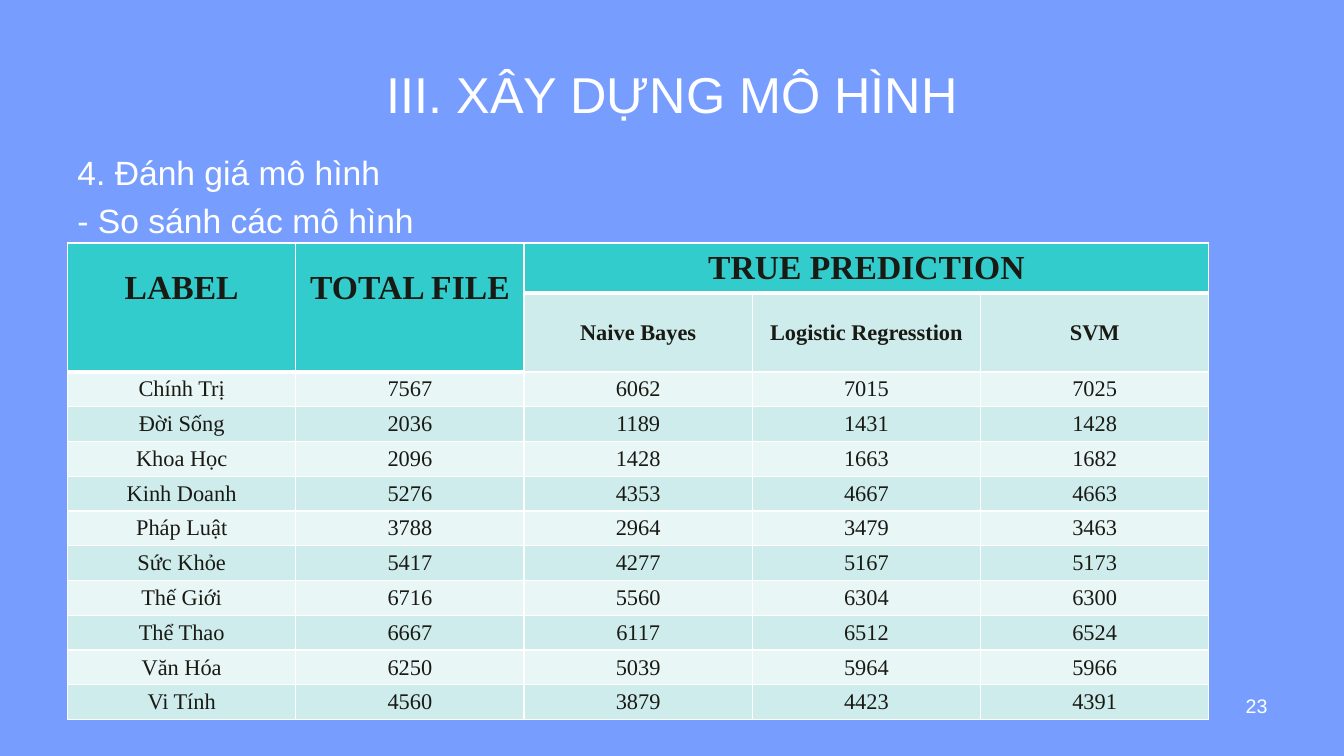
from dataclasses import dataclass

from lxml.etree import SubElement
from pptx import Presentation
from pptx.dml.color import RGBColor
from pptx.enum.text import MSO_ANCHOR, PP_ALIGN
from pptx.oxml.ns import qn
from pptx.slide import Slide
from pptx.table import Table, _Cell
from pptx.text.text import TextFrame
from pptx.util import Inches, Pt

COLORS = {
    "background": "779EFF",
    "white": "FFFFFF",
    "ink": "1A1A14",
    "header": "33CCCC",
    "light": "E8F6F6",
    "tint": "CEECEC",
}


@dataclass
class Style:
    size: int
    font: str = "Arial"
    color: str = "white"
    bold: bool = False
    align: PP_ALIGN = PP_ALIGN.LEFT
    before: int = 0


@dataclass
class TextBlock:
    left: float
    top: float
    width: float
    height: float
    lines: list[str]
    style: Style


@dataclass
class Heading:
    row: int
    column: int
    text: str
    last_row: int
    last_column: int


def serif(size: int, bold: bool) -> Style:
    return Style(size, "Times New Roman", "ink", bold, PP_ALIGN.CENTER)


TITLE = TextBlock(0.67, 0.3, 12, 1.25, ["III. XÂY DỰNG MÔ HÌNH"],
                  Style(36, align=PP_ALIGN.CENTER))
TEXT_BLOCKS = [
    TextBlock(0.67, 1.46, 11.31, 0.95,
              ["4. Đánh giá mô hình", "- So sánh các mô hình"], Style(24, before=5)),
    TextBlock(9.56, 6.83, 3.11, 0.52, ["23"], Style(14, align=PP_ALIGN.RIGHT)),
]
HEADINGS = [
    Heading(0, 0, "LABEL", 1, 0),
    Heading(0, 1, "TOTAL FILE", 1, 1),
    Heading(0, 2, "TRUE PREDICTION", 0, 4),
]
MODELS = ["Naive Bayes", "Logistic Regresstion", "SVM"]
RESULTS = [
    ("Chính Trị", 7567, 6062, 7015, 7025),
    ("Đời Sống", 2036, 1189, 1431, 1428),
    ("Khoa Học", 2096, 1428, 1663, 1682),
    ("Kinh Doanh", 5276, 4353, 4667, 4663),
    ("Pháp Luật", 3788, 2964, 3479, 3463),
    ("Sức Khỏe", 5417, 4277, 5167, 5173),
    ("Thế Giới", 6716, 5560, 6304, 6300),
    ("Thể Thao", 6667, 6117, 6512, 6524),
    ("Văn Hóa", 6250, 5039, 5964, 5966),
    ("Vi Tính", 4560, 3879, 4423, 4391),
]
TABLE_WIDTH, TABLE_HEIGHT = 11.32, 4.68
HEADER_HEIGHTS = [0.5, 0.73]


def write_lines(frame: TextFrame, lines: list[str], style: Style) -> None:
    for index, line in enumerate(lines):
        para = frame.add_paragraph() if index else frame.paragraphs[0]
        para.alignment = style.align
        para.space_before = Pt(style.before)
        span = para.add_run()
        span.text = line
        span.font.name = style.font
        span.font.size = Pt(style.size)
        span.font.bold = style.bold
        span.font.color.rgb = RGBColor.from_string(COLORS[style.color])


def add_text(page: Slide, block: TextBlock) -> None:
    box = page.shapes.add_textbox(Inches(block.left), Inches(block.top),
                                  Inches(block.width), Inches(block.height))
    box.text_frame.word_wrap = True
    write_lines(box.text_frame, block.lines, block.style)


def add_title(page: Slide, block: TextBlock) -> None:
    title = page.shapes.title
    title.left, title.top = Inches(block.left), Inches(block.top)
    title.width, title.height = Inches(block.width), Inches(block.height)
    title.text_frame.vertical_anchor = MSO_ANCHOR.MIDDLE
    write_lines(title.text_frame, block.lines, block.style)


def format_cell(cell: _Cell, fill: str) -> None:
    properties = cell._tc.get_or_add_tcPr()
    for side in ("L", "R", "T", "B"):
        width = 3 if side == "B" and fill == "header" else 1
        line = SubElement(properties, qn(f"a:ln{side}"), w=str(Pt(width)))
        solid = SubElement(line, qn("a:solidFill"))
        SubElement(solid, qn("a:srgbClr"), val=COLORS["white"])
    cell.fill.solid()
    cell.fill.fore_color.rgb = RGBColor.from_string(COLORS[fill])
    cell.vertical_anchor = MSO_ANCHOR.MIDDLE
    cell.margin_left = cell.margin_right = Inches(0.07)
    cell.margin_top = cell.margin_bottom = 0


def fill_for(row: int, column: int) -> str:
    if row == 0 or (row == 1 and column < 2):
        return "header"
    return "tint" if row % 2 else "light"


def fill_table(table: Table) -> None:
    for row in range(len(table.rows)):
        for column in range(len(table.columns)):
            format_cell(table.cell(row, column), fill_for(row, column))
    for heading in HEADINGS:
        cell = table.cell(heading.row, heading.column)
        cell.merge(table.cell(heading.last_row, heading.last_column))
        if heading.last_row > heading.row:
            cell.margin_bottom = Inches(0.38)
        write_lines(cell.text_frame, [heading.text], serif(24, True))
    for column, model in enumerate(MODELS, start=2):
        write_lines(table.cell(1, column).text_frame, [model], serif(16, True))
    for row, result in enumerate(RESULTS, start=2):
        for column, value in enumerate(result):
            write_lines(table.cell(row, column).text_frame, [str(value)], serif(16, False))


def add_results(page: Slide) -> None:
    row_count = len(HEADER_HEIGHTS) + len(RESULTS)
    table = page.shapes.add_table(row_count, len(RESULTS[0]), Inches(0.67), Inches(2.41),
                                  Inches(TABLE_WIDTH), Inches(TABLE_HEIGHT)).table
    body_height = (TABLE_HEIGHT - sum(HEADER_HEIGHTS)) / len(RESULTS)
    heights = HEADER_HEIGHTS + [body_height] * len(RESULTS)
    for row, height in zip(table.rows, heights):
        row.height = Inches(height)
    fill_table(table)


def main() -> None:
    deck = Presentation()
    deck.slide_width, deck.slide_height = Inches(13.33), Inches(7.5)
    page = deck.slides.add_slide(deck.slide_layouts.get_by_name("Title Only"))
    page.background.fill.solid()
    page.background.fill.fore_color.rgb = RGBColor.from_string(COLORS["background"])
    add_title(page, TITLE)
    for block in TEXT_BLOCKS:
        add_text(page, block)
    add_results(page)
    deck.save("out.pptx")


if __name__ == "__main__":
    main()
